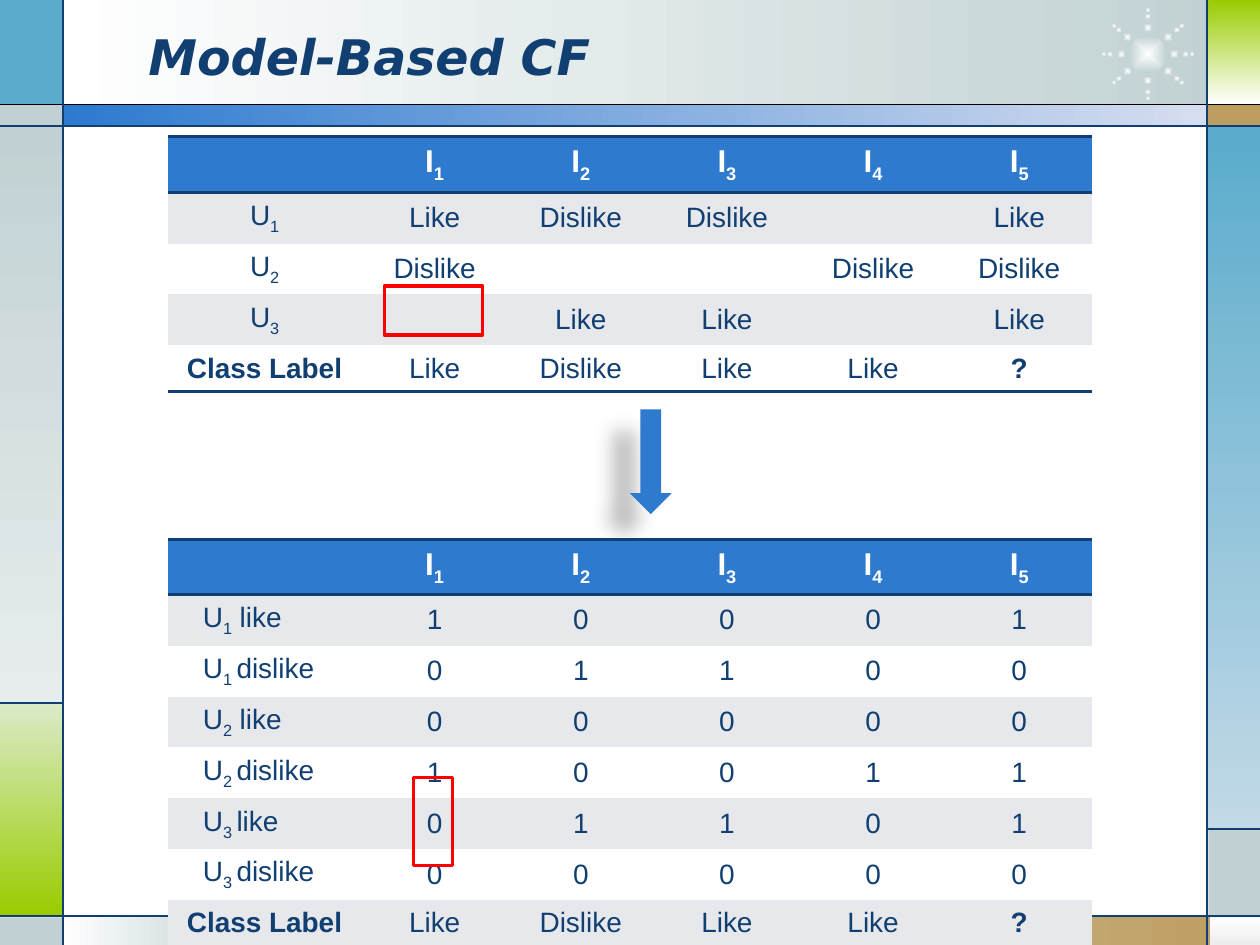
import lxml.etree
import math
import pptx
import pptx.dml.color
import pptx.enum.shapes
import pptx.enum.text
import pptx.oxml.ns
import pptx.util

Inches = pptx.util.Inches
SHAPE = pptx.enum.shapes.MSO_SHAPE
ALIGN = pptx.enum.text.PP_ALIGN
ANCHOR = pptx.enum.text.MSO_ANCHOR
qn = pptx.oxml.ns.qn

NAVY, BLUE, WHITE, STRIPE = "113F71", "2D7ACF", "FFFFFF", "E7E8EB"
GREY, TEAL, TAN, GREEN, RED = "C1D1D3", "5AABCC", "BD9E61", "99CC00", "FF0000"
NO_TABLE_STYLE = "{2D5ABB26-0587-4C30-8999-92F81FD0307C}"
COLUMNS = [1.54] + [1.16] * 5

# left, top, width, height, colours, gradient angle (counter-clockwise)
PANELS = [
    (0.5, 0, 9.27, 0.84, (WHITE, GREY), 0),
    (0, 0, 0.5, 0.84, TEAL, 0),
    (0, 0.83, 0.5, 0.17, GREY, 0),
    (0, 1, 0.5, 4.58, (GREY, "E7EDEE"), 270),
    (0, 5.58, 0.5, 1.69, ("DBEBC9", GREEN), 270),
    (0, 7.28, 0.5, 0.22, GREY, 0),
    (0.5, 7.27, 1.43, 0.23, (WHITE, GREY), 0),
    (1.92, 7.27, 8.08, 0.23, ("DED1BF", TAN), 0),
    (9.6, 7.28, 0.4, 0.22, (WHITE, "EDEDED"), 270),
    (9.59, 6.58, 0.41, 0.7, GREY, 0),
    (9.58, 1, 0.42, 5.58, (TEAL, "C2D9E7"), 270),
    (9.58, 0.83, 0.42, 0.17, TAN, 0),
    (9.59, 0, 0.41, 0.83, (GREEN, WHITE), 270),
    (0.5, 0.83, 9.09, 0.17, (BLUE, "D7DEF0"), 0),
]

RULES = [
    (0, 0.83, 10, 0.83, "000000"),
    (0, 1, 10, 1, NAVY),
    (0, 7.27, 10, 7.27, NAVY),
    (0.5, 0, 0.5, 7.5, NAVY),
    (9.58, 0, 9.58, 7.5, NAVY),
    (0, 5.58, 0.5, 5.58, NAVY),
    (1.92, 7.27, 1.92, 7.5, NAVY),
    (9.58, 6.58, 10, 6.58, NAVY),
]

# Text between bars is subscript.
HEADER = [""] + [f"I|{i}|" for i in range(1, 6)]
CLASS_ROW = ["Class Label", "Like", "Dislike", "Like", "Like", "?"]
RATINGS = [
    HEADER,
    ["U|1|", "Like", "Dislike", "Dislike", "", "Like"],
    ["U|2|", "Dislike", "", "", "Dislike", "Dislike"],
    ["U|3|", "", "Like", "Like", "", "Like"],
    CLASS_ROW,
]
FEATURES = [
    HEADER,
    ["U|1| like", *"10001"],
    ["U|1 |dislike", *"01100"],
    ["U|2| like", *"00000"],
    ["U|2 |dislike", *"10011"],
    ["U|3 |like", *"01101"],
    ["U|3 |dislike", *"00000"],
    CLASS_ROW,
]


def rgb(color):
    return pptx.dml.color.RGBColor.from_string(color)


def add_xml(parent, tag, **attrs):
    return lxml.etree.SubElement(parent, qn(tag), attrs)


def set_text(tf, text, size, color=NAVY, font="Arial", bold=False, italic=False,
             align=ALIGN.LEFT):
    """Write one paragraph, with the parts between bars as subscript."""
    p = tf.paragraphs[0]
    p.alignment = align
    for i, part in enumerate(text.split("|")):
        if not part:
            continue
        r = p.add_run()
        r.text = part
        r.font.size = pptx.util.Pt(size)
        r.font.name = font
        r.font.bold = bold
        r.font.italic = italic
        r.font.color.rgb = rgb(color)
        if i % 2:
            r.font._element.set("baseline", "-25000")
    add_xml(p._p, "a:endParaRPr", sz=str(size * 100))


def add_shape(slide, kind, x, y, w, h, fill=None, angle=0, line=None):
    """Add a shape; a pair of fill colours makes a linear gradient."""
    s = slide.shapes.add_shape(kind, Inches(x), Inches(y), Inches(w), Inches(h))
    s.shadow.inherit = False
    if fill is None:
        s.fill.background()
    elif isinstance(fill, tuple):
        s.fill.gradient()
        s.fill.gradient_angle = angle
        for stop, color in zip(s.fill.gradient_stops, fill):
            stop.color.rgb = rgb(color)
    else:
        s.fill.solid()
        s.fill.fore_color.rgb = rgb(fill)
    if line:
        s.line.color.rgb = rgb(line)
        s.line.width = pptx.util.Pt(2)
    else:
        s.line.fill.background()
    return s


def add_rule(slide, x1, y1, x2, y2, color):
    c = slide.shapes.add_connector(pptx.enum.shapes.MSO_CONNECTOR.STRAIGHT,
                                   Inches(x1), Inches(y1), Inches(x2), Inches(y2))
    c.line.color.rgb = rgb(color)
    c.line.width = pptx.util.Pt(0.75)
    add_xml(c._element.spPr, "a:effectLst")


def add_glow_dot(slide, cx, cy, d):
    s = add_shape(slide, SHAPE.OVAL, cx - d / 2, cy - d / 2, d, d, (WHITE, GREY))
    grad = s._element.spPr.find(qn("a:gradFill"))
    grad.remove(grad.find(qn("a:lin")))
    path = add_xml(grad, "a:path", path="shape")
    add_xml(path, "a:fillToRect", l="50000", t="50000", r="50000", b="50000")


def add_starburst(slide, cx, cy):
    add_glow_dot(slide, cx, cy, 0.3)
    for angle in (0, 40, 90, 140, 180, 220, 270, 320):
        a = math.radians(angle)
        for radius, d in ((0.21, 0.07), (0.3, 0.05), (0.35, 0.04)):
            add_glow_dot(slide, cx + radius * math.cos(a), cy + radius * math.sin(a), d)


def add_down_arrow(slide):
    s = add_shape(slide, SHAPE.DOWN_ARROW, 5, 3.25, 0.33, 0.83, BLUE)
    shadow = add_xml(s._element.spPr.find(qn("a:effectLst")), "a:outerShdw",
                     blurRad=str(pptx.util.Pt(11.8)), dist=str(pptx.util.Pt(19.7)),
                     dir=str(141 * 60000), algn="ctr", rotWithShape="0")
    add_xml(add_xml(shadow, "a:srgbClr", val="000000"), "a:alpha", val="28000")


def set_borders(cell, sides):
    tcPr = cell._tc.get_or_add_tcPr()
    for i, side in enumerate(sides):
        ln = add_xml(tcPr, f"a:ln{side}", w=str(pptx.util.Pt(2)))
        add_xml(add_xml(ln, "a:solidFill"), "a:srgbClr", val=NAVY)
        tcPr.insert(i, ln)


def add_table(slide, top, rows, heights, label_indent=None):
    """Add a striped table; label_indent left-aligns the row labels."""
    frame = slide.shapes.add_table(len(rows), len(COLUMNS), Inches(1.33), Inches(top),
                                   Inches(sum(COLUMNS)), Inches(sum(heights)))
    table = frame.table
    table._tbl.tblPr.find(qn("a:tableStyleId")).text = NO_TABLE_STYLE
    for column, width in zip(table.columns, COLUMNS):
        column.width = Inches(width)
    for i, (row, height) in enumerate(zip(rows, heights)):
        table.rows[i].height = Inches(height)
        header, last = i == 0, i == len(rows) - 1
        for j, text in enumerate(row):
            cell = table.cell(i, j)
            cell.vertical_anchor = ANCHOR.MIDDLE
            cell.fill.solid()
            cell.fill.fore_color.rgb = rgb(BLUE if header else STRIPE if i % 2 else WHITE)
            align = ALIGN.CENTER
            if label_indent and j == 0 and not (header or last):
                cell.margin_left = Inches(label_indent)
                align = ALIGN.LEFT
            set_text(cell.text_frame, text, 18 if header else 16, align=align,
                     color=WHITE if header else NAVY,
                     bold=header or text in ("Class Label", "?"))
            set_borders(cell, "TB" if header else "B" if last else "")


def add_title(slide, text):
    tf = slide.shapes.add_textbox(Inches(1.08), Inches(0.13), Inches(7.33),
                                  Inches(0.62)).text_frame
    tf.word_wrap = True
    tf.vertical_anchor = ANCHOR.MIDDLE
    set_text(tf, text, 28, font="DejaVu Sans", bold=True, italic=True)


def main():
    prs = pptx.Presentation()
    prs.slide_width, prs.slide_height = Inches(10), Inches(7.5)
    slide = prs.slides.add_slide(prs.slide_layouts[6])
    for x, y, w, h, fill, angle in PANELS:
        add_shape(slide, SHAPE.RECTANGLE, x, y, w, h, fill, angle)
    add_starburst(slide, 9.11, 0.43)
    for rule in RULES:
        add_rule(slide, *rule)
    add_title(slide, "Model-Based CF")
    add_down_arrow(slide)
    add_table(slide, 1.08, RATINGS, [0.45] + [0.37] * 4)
    add_table(slide, 4.28, FEATURES, [0.37] + [0.33] * 7, label_indent=0.28)
    for box in ((3.05, 2.27, 0.78, 0.39), (3.28, 6.17, 0.31, 0.7)):
        add_shape(slide, SHAPE.RECTANGLE, *box, line=RED)
    prs.save("out.pptx")


if __name__ == "__main__":
    main()
